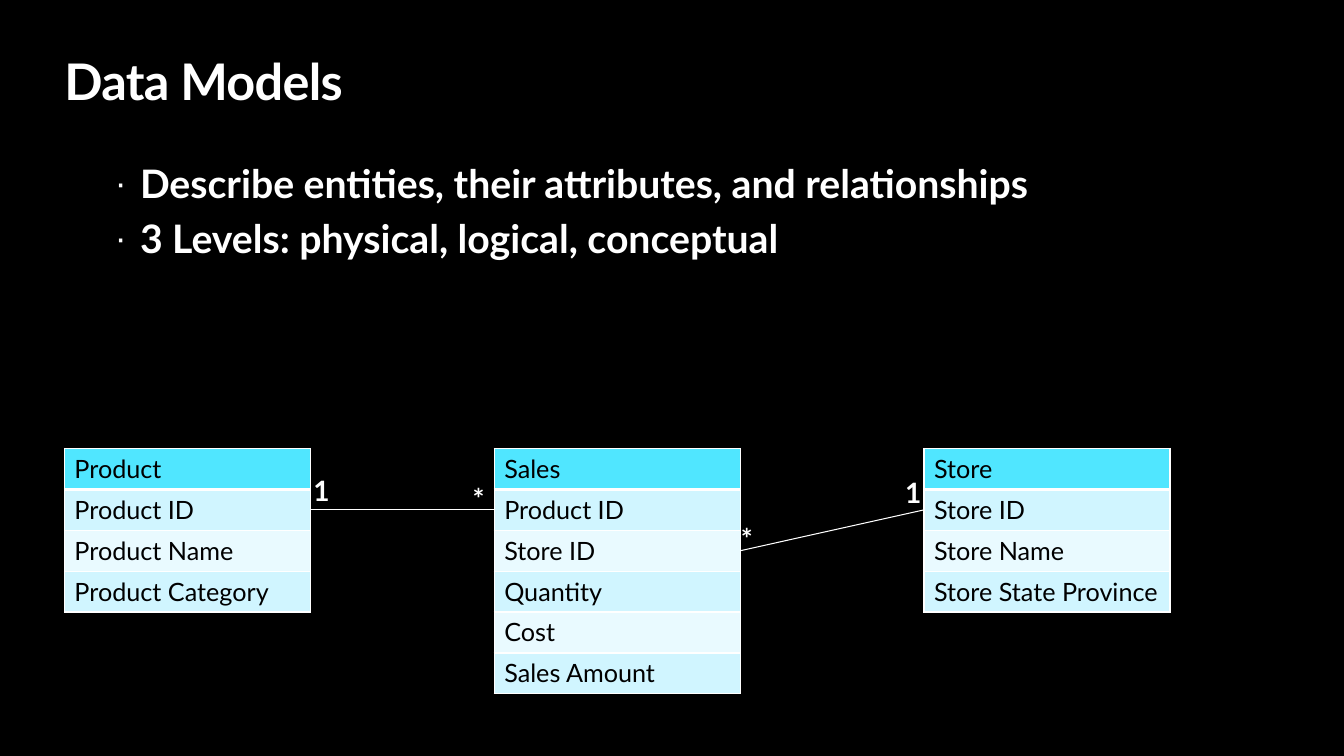
from lxml.etree import SubElement
from pptx import Presentation
from pptx.dml.color import RGBColor
from pptx.enum.shapes import MSO_CONNECTOR
from pptx.enum.text import MSO_ANCHOR, MSO_AUTO_SIZE, PP_ALIGN
from pptx.oxml.ns import qn
from pptx.util import Pt

BLACK = RGBColor(0x00, 0x00, 0x00)
WHITE = RGBColor(0xFF, 0xFF, 0xFF)
HEAD = RGBColor(0x50, 0xE6, 0xFF)
BANDS = [RGBColor(0xE9, 0xFA, 0xFF), RGBColor(0xD0, 0xF5, 0xFF)]

LEFT, TOP, STEP = 46, 320.4, 307
WIDE, ROW = 175.7, 29.2


def format_run(run, size, color, bold=False):
    run.font.name = "Lato"
    run.font.size = Pt(size)
    run.font.bold = bold
    run.font.color.rgb = color


def place_text(shape, box, text, size):
    shape.left, shape.top, shape.width, shape.height = [Pt(v) for v in box]
    frame = shape.text_frame
    frame.text = text
    frame.word_wrap = True
    frame.auto_size = MSO_AUTO_SIZE.NONE
    frame.vertical_anchor = MSO_ANCHOR.TOP
    frame.margin_left = frame.margin_right = 0
    frame.margin_top = frame.margin_bottom = 0
    for para in frame.paragraphs:
        para.alignment = PP_ALIGN.LEFT
        format_run(para.runs[0], size, WHITE, True)
    return frame


deck = Presentation()
deck.slide_width, deck.slide_height = Pt(960), Pt(540)
slide = deck.slides.add_slide(deck.slide_layouts[1])
slide.background.fill.solid()
slide.background.fill.fore_color.rgb = BLACK

# Title
title = place_text(slide.shapes.title, (LEFT, 36, 867.6, 44), "Data Models", 36)
title.paragraphs[0].runs[0].font._element.set("spc", "-50")

# Bullet list
points = ["Describe entities, their attributes, and relationships",
          "3 Levels: physical, logical, conceptual"]
body = place_text(slide.placeholders[1], (82, 113.8, 877.7, 234.7),
                  "\n".join(points), 28)
for para in body.paragraphs:
    props = para._p.get_or_add_pPr()
    props.set("marL", str(Pt(18)))
    props.set("indent", str(-Pt(18)))
    SubElement(props, qn("a:buSzPct"), val="90000")
    SubElement(props, qn("a:buChar"), char="·")

# Entity tables
models = [
    ["Product", "Product ID", "Product Name", "Product Category"],
    ["Sales", "Product ID", "Store ID", "Quantity", "Cost", "Sales Amount"],
    ["Store", "Store ID", "Store Name", "Store State Province"],
]
for col, names in enumerate(models):
    count = len(names)
    table = slide.shapes.add_table(
        count, 1, Pt(LEFT + col * STEP), Pt(TOP), Pt(WIDE), Pt(count * ROW)).table
    for row, name in enumerate(names):
        table.rows[row].height = Pt(ROW)
        cell = table.cell(row, 0)
        cell.text = name
        format_run(cell.text_frame.paragraphs[0].runs[0], 18, BLACK)
        # Borders: the rule under the header is heavier
        props = cell._tc.get_or_add_tcPr()
        for side in "LRTB":
            heavy = (row, side) in [(0, "B"), (1, "T")]
            edge = SubElement(props, qn("a:ln" + side), w=str(Pt(3 if heavy else 1)))
            fill = SubElement(edge, qn("a:solidFill"))
            SubElement(fill, qn("a:srgbClr"), val=str(WHITE))
        cell.fill.solid()
        cell.fill.fore_color.rgb = BANDS[row % 2] if row else HEAD

# Relationship lines, from Sales to the key row of each other table
sales = LEFT + STEP
key, store = TOP + 1.5 * ROW, TOP + 2.5 * ROW
for ends in [(sales, key, LEFT + WIDE, key),
             (sales + WIDE, store, sales + STEP, key)]:
    line = slide.shapes.add_connector(MSO_CONNECTOR.STRAIGHT, *[Pt(v) for v in ends])
    line.line.color.rgb = WHITE
    line.line.width = Pt(0.75)
    SubElement(line._element.spPr, qn("a:effectLst"))

# Cardinality marks
for mark, x, y, wide in [("*", 337.7, 344.2, 11.5), ("*", 529.2, 372.2, 11.5),
                         ("1", 646.6, 339.8, 23), ("1", 223.9, 338.4, 23)]:
    box = slide.shapes.add_textbox(0, 0, 0, 0)
    place_text(box, (x, y, wide, 24.5), mark, 20)

deck.save("out.pptx")
